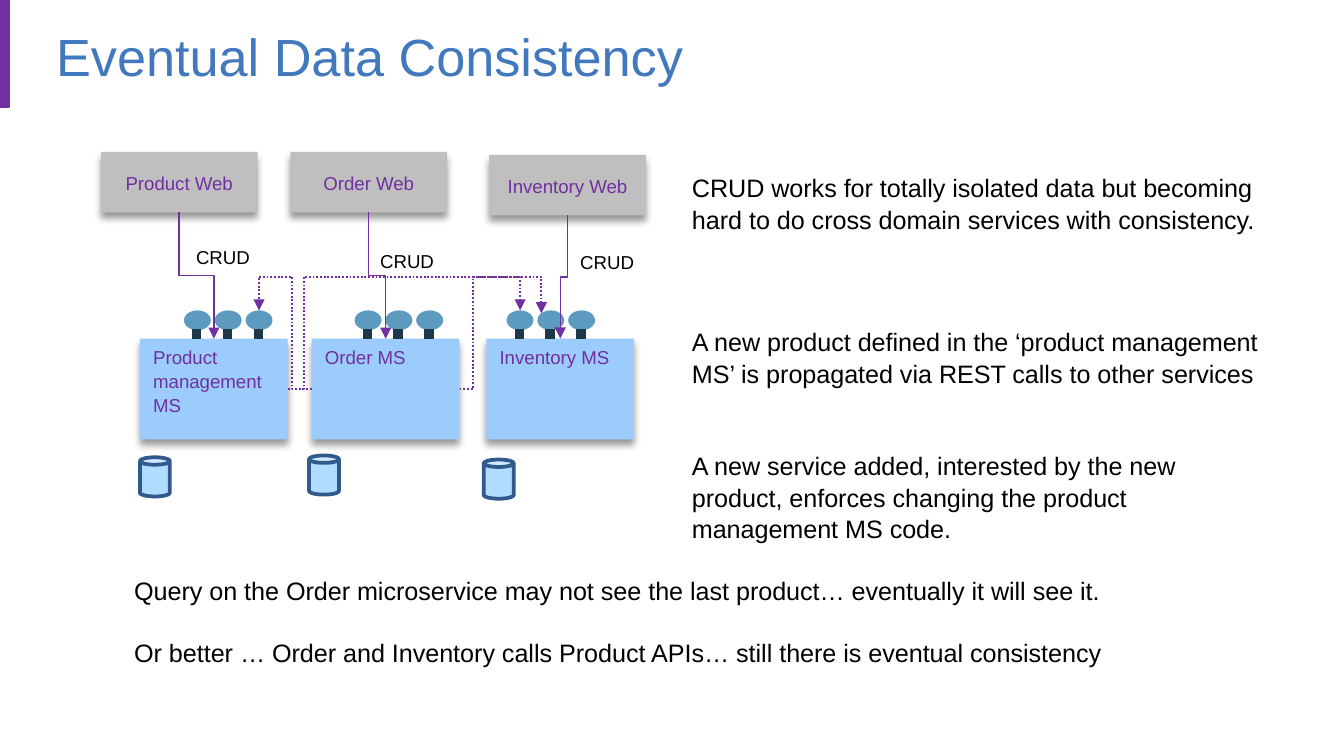
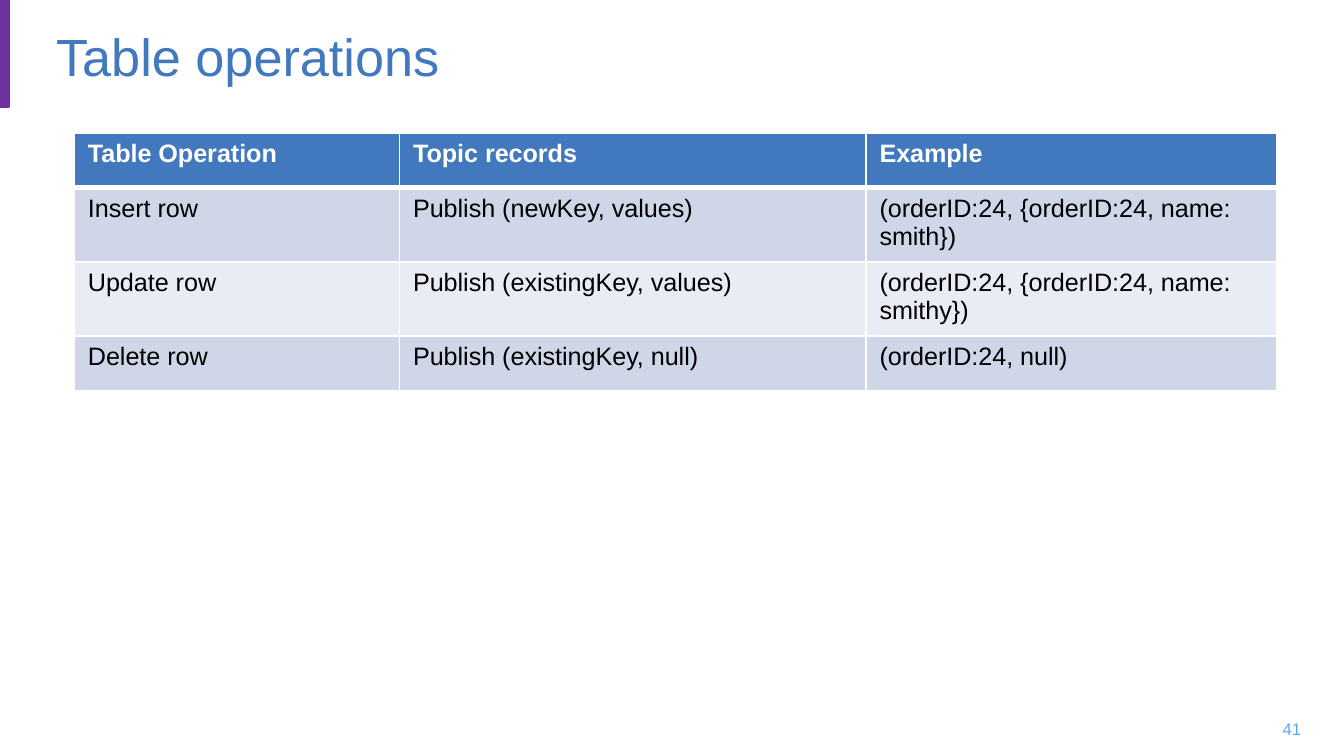
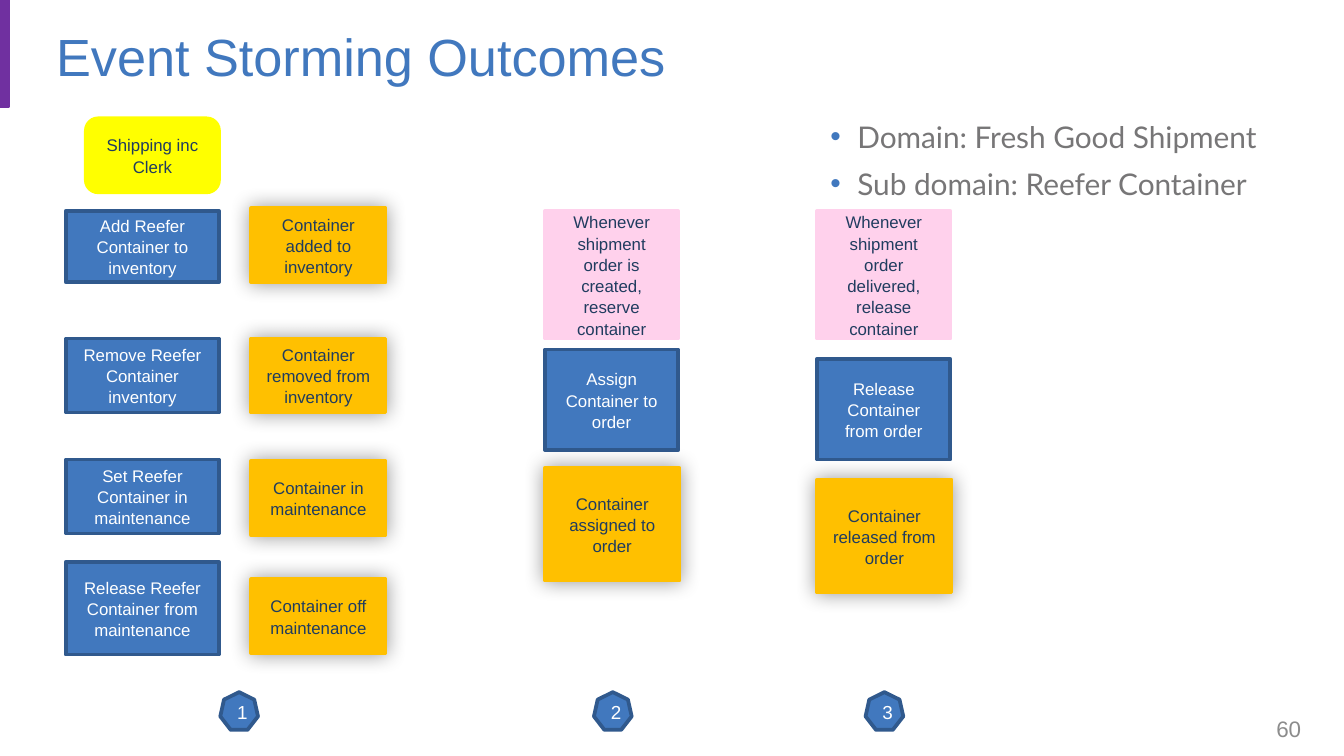
from dataclasses import dataclass
from typing import NamedTuple

from lxml.etree import SubElement
from pptx import Presentation
from pptx.dml.color import RGBColor
from pptx.enum.dml import MSO_LINE
from pptx.enum.shapes import MSO_CONNECTOR, MSO_SHAPE
from pptx.enum.text import MSO_ANCHOR, MSO_AUTO_SIZE, PP_ALIGN
from pptx.oxml.ns import qn
from pptx.util import Pt


# Theme
@dataclass(frozen=True)
class Theme:
    font: str = "Arial"
    body_font: str = "Lato"
    title_size: float = 28
    bullet_size: float = 16
    text_size: float = 13.5
    page_size: float = 12
    badge_size: float = 10.1
    label_size: float = 10
    small_size: float = 9
    leading: float = 1.05
    purple: str = "7030A0"
    blue: str = "4178BE"
    navy: str = "30598D"
    ink: str = "203C5F"
    black: str = "000000"
    white: str = "FFFFFF"
    grey: str = "BFBFBF"
    sky: str = "9CCCFC"
    pale_sky: str = "B0DDFF"
    port: str = "5D9ABF"
    stem: str = "1D3848"
    amber: str = "FFC000"
    yellow: str = "FFFF00"
    pink: str = "FFD1EC"
    bullet_text: str = "777677"
    page_blue: str = "5AAAFA"
    page_grey: str = "8C8C8C"
    band_dark: str = "CFD6E8"
    band_light: str = "E9ECF4"


THEME = Theme()


class Box(NamedTuple):
    left: float
    top: float
    width: float
    height: float

    def points(self) -> list:
        return [Pt(length) for length in self]


class Shadow(NamedTuple):
    blur: float
    distance: float
    angle: int


@dataclass(frozen=True)
class Style:
    fill: str
    line: str | None = None
    text: str = THEME.ink
    size: float = THEME.small_size
    kind: MSO_SHAPE = MSO_SHAPE.RECTANGLE
    shadow: Shadow | None = None
    align: PP_ALIGN = PP_ALIGN.CENTER
    anchor: MSO_ANCHOR = MSO_ANCHOR.MIDDLE


DROP = Shadow(4, 3, 90)
GLOW = Shadow(11, 0, 10)
BAND = Style(THEME.purple, THEME.purple)
WEB = Style(THEME.grey, None, THEME.purple, THEME.label_size, shadow=DROP)
SERVICE = Style(THEME.sky, None, THEME.purple, THEME.label_size, shadow=DROP,
                align=PP_ALIGN.LEFT, anchor=MSO_ANCHOR.TOP)
DATABASE = Style(THEME.pale_sky, THEME.navy, kind=MSO_SHAPE.CAN)
PORT = Style(THEME.port, kind=MSO_SHAPE.OVAL)
ACTOR = Style(THEME.yellow, THEME.yellow, kind=MSO_SHAPE.ROUNDED_RECTANGLE)
COMMAND = Style(THEME.blue, THEME.navy, THEME.white)
EVENT = Style(THEME.amber, THEME.amber, shadow=GLOW)
POLICY = Style(THEME.pink, THEME.pink)
BADGE = Style(THEME.blue, THEME.navy, THEME.white, THEME.badge_size, MSO_SHAPE.HEPTAGON)


# Drawing helpers
def colour(code: str) -> RGBColor:
    return RGBColor.from_string(code)


def set_font(paragraph, size: float, code: str, font: str = THEME.font) -> None:
    paragraph.font.name = font
    paragraph.font.size = Pt(size)
    paragraph.font.color.rgb = colour(code)


def add_block(shapes, box: Box, style: Style, text: str = ""):
    block = shapes.add_shape(style.kind, *box.points())
    block.fill.solid()
    block.fill.fore_color.rgb = colour(style.fill)
    if style.line:
        block.line.color.rgb = colour(style.line)
        block.line.width = Pt(2)
    else:
        block.line.fill.background()
    block.shadow.inherit = False
    if style.shadow:
        effects = block.element.spPr.find(qn("a:effectLst"))
        outer = SubElement(effects, qn("a:outerShdw"), blurRad=str(Pt(style.shadow.blur)),
                           dist=str(Pt(style.shadow.distance)),
                           dir=str(style.shadow.angle * 60000), rotWithShape="0")
        tint = SubElement(outer, qn("a:srgbClr"), val=THEME.black)
        SubElement(tint, qn("a:alpha"), val="40000")
    if text:
        block.text_frame.vertical_anchor = style.anchor
        paragraph = block.text_frame.paragraphs[0]
        paragraph.text = text
        paragraph.alignment = style.align
        paragraph.line_spacing = THEME.leading
        set_font(paragraph, style.size, style.text)
    return block


def add_text(slide, box: Box, lines: list[str], size: float, code: str,
             gaps: tuple[float, ...] = (), font: str = THEME.font, wrap: bool = True,
             leading: float | None = None, anchor: MSO_ANCHOR = MSO_ANCHOR.TOP,
             align: PP_ALIGN = PP_ALIGN.LEFT, bullet: bool = False):
    frame = slide.shapes.add_textbox(*box.points()).text_frame
    frame.word_wrap = wrap
    frame.vertical_anchor = anchor
    if not wrap:
        frame.auto_size = MSO_AUTO_SIZE.SHAPE_TO_FIT_TEXT
    for index, line in enumerate(lines):
        paragraph = frame.add_paragraph() if index else frame.paragraphs[0]
        paragraph.text = line
        paragraph.alignment = align
        if leading:
            paragraph.line_spacing = leading
        if index and gaps:
            paragraph.space_before = Pt(gaps[index - 1])
        if bullet:
            add_bullet(paragraph)
        set_font(paragraph, size, code, font)


def add_bullet(paragraph) -> None:
    properties = paragraph._p.get_or_add_pPr()
    properties.set("marL", str(Pt(14.4)))
    properties.set("indent", str(-Pt(14.4)))
    tint = SubElement(properties, qn("a:buClr"))
    SubElement(tint, qn("a:srgbClr"), val=THEME.blue)
    SubElement(properties, qn("a:buFont"), typeface=THEME.font)
    SubElement(properties, qn("a:buChar"), char="•")


def add_line(shapes, kind: MSO_CONNECTOR, start: tuple, end: tuple, code: str, width: float):
    line = shapes.add_connector(kind, *(Pt(value) for value in (*start, *end)))
    line.line.color.rgb = colour(code)
    line.line.width = Pt(width)
    SubElement(line.element.spPr, qn("a:effectLst"))
    return line


class End(NamedTuple):
    """A connection site of a shape and where it lies."""
    shape: object
    site: int
    x: float
    y: float


def add_elbow(slide, start: End, end: End, width: float, rotation: int, flip: str,
              bends: tuple[int, ...], dotted: bool = False) -> None:
    elbow = add_line(slide.shapes, MSO_CONNECTOR.ELBOW, start[2:], end[2:], THEME.purple, width)
    elbow.begin_connect(start.shape, start.site)
    elbow.end_connect(end.shape, end.site)
    if dotted:
        elbow.line.dash_style = MSO_LINE.ROUND_DOT
    properties = elbow.element.spPr
    SubElement(properties.find(qn("a:ln")), qn("a:tailEnd"), type="triangle")

    # Frame before rotation
    across, down = abs(end.x - start.x), abs(end.y - start.y)
    if rotation in (90, 270):
        across, down = down, across
    elbow.left = Pt((start.x + end.x - across) / 2)
    elbow.top = Pt((start.y + end.y - down) / 2)
    elbow.width, elbow.height = Pt(across), Pt(down)
    transform = properties.find(qn("a:xfrm"))
    for name in ("flipH", "flipV"):
        transform.attrib.pop(name, None)
    transform.set("rot", str(rotation * 60000))
    if flip:
        transform.set(flip, "1")

    # Bends in thousandths of a percent
    geometry = properties.find(qn("a:prstGeom"))
    geometry.set("prst", f"bentConnector{len(bends) + 2}")
    guides = geometry.find(qn("a:avLst"))
    if guides is None:
        guides = SubElement(geometry, qn("a:avLst"))
    for number, bend in enumerate(bends, 1):
        SubElement(guides, qn("a:gd"), name=f"adj{number}", fmla=f"val {bend}")


def add_slide(deck, title: str):
    slide = deck.slides.add_slide(deck.slide_layouts[6])
    add_block(slide.shapes, Box(0, 0, 4.5, 57), BAND)
    add_text(slide, Box(23, 3.6, 661, 52), [title], THEME.title_size, THEME.blue,
             anchor=MSO_ANCHOR.MIDDLE)
    return slide


def add_page_number(slide, number: str, size: float, code: str) -> None:
    add_text(slide, Box(672.5, 379.5, 31.7, 21.6), [number], size, code,
             anchor=MSO_ANCHOR.MIDDLE, align=PP_ALIGN.RIGHT)


# Slide 1: services and their data
class Domain(NamedTuple):
    web_name: str
    service_name: str
    web: tuple
    service_left: float
    database: tuple
    ports_left: float
    crud: tuple


DOMAINS = [
    Domain("Product Web", "Product management MS", (54, 81.4), 75, (75, 245), 98.6, (98, 127.4)),
    Domain("Order Web", "Order MS", (155.5, 81.4), 167, (165.6, 244), 190, (196.6, 129.6)),
    Domain("Inventory Web", "Inventory MS", (262, 83), 260.6, (259.2, 246.2), 271.4,
           (303.8, 130.3)),
]
WEB_SIZE = (84, 32.4)
SERVICE_SIZE = (79.2, 54)
SERVICE_TOP = 181.4
PORT_SIZE = (14.4, 10.6)
PORT_TOP = 166.3
PORT_PITCH = 16.5


def add_ports(slide, left: float) -> list:
    group = slide.shapes.add_group_shape()
    ports = []
    for index in range(3):
        port_left = left + index * PORT_PITCH
        stem = port_left + 6.8
        ports.append(add_block(group.shapes, Box(port_left, PORT_TOP, *PORT_SIZE), PORT))
        add_line(group.shapes, MSO_CONNECTOR.STRAIGHT, (stem, 176.4), (stem, SERVICE_TOP),
                 THEME.stem, 5)
    return ports


def build_consistency(deck) -> None:
    slide = add_slide(deck, "Eventual Data Consistency")
    services, ports = [], []
    for domain in DOMAINS:
        web = add_block(slide.shapes, Box(*domain.web, *WEB_SIZE), WEB, domain.web_name)
        service = add_block(slide.shapes, Box(domain.service_left, SERVICE_TOP, *SERVICE_SIZE),
                            SERVICE, domain.service_name)
        add_block(slide.shapes, Box(*domain.database, 16, 21), DATABASE)
        services.append(service)
        ports.append(add_ports(slide, domain.ports_left))
        bottom = End(web, 2, domain.web[0] + WEB_SIZE[0] / 2, domain.web[1] + WEB_SIZE[1])
        top = End(service, 0, domain.service_left + SERVICE_SIZE[0] / 2, SERVICE_TOP)
        turn = (270, "flipH") if top.x > bottom.x else (90, "")
        add_elbow(slide, bottom, top, 0.75, *turn, (50000,))
        add_text(slide, Box(*domain.crud, 44, 19.4), ["CRUD"], THEME.label_size, THEME.black,
                 wrap=False, leading=THEME.leading)

    # Propagation between services
    def side(index: int, site: int) -> End:
        offset = SERVICE_SIZE[0] if site == 3 else 0
        return End(services[index], site, DOMAINS[index].service_left + offset,
                   SERVICE_TOP + SERVICE_SIZE[1] / 2)

    def port(index: int, number: int, site: int = 0) -> End:
        across, down = (0.15, 0.15) if site else (0.5, 0)
        left = DOMAINS[index].ports_left + number * PORT_PITCH
        return End(ports[index][number], site, left + across * PORT_SIZE[0],
                   PORT_TOP + down * PORT_SIZE[1])

    add_elbow(slide, side(0, 3), port(2, 0), 1, 0, "flipV", (6900, 143000), True)
    add_elbow(slide, side(1, 3), port(2, 1, 1), 1, 0, "flipV", (16800, 148400), True)
    add_elbow(slide, side(1, 1), port(0, 2), 1, 180, "", (37300, 143000), True)

    # Remarks
    add_text(slide, Box(363.6, 88, 322, 203.8), [
        "CRUD works for totally isolated data but becoming hard to do cross domain services "
        "with consistency.",
        "A new product defined in the ‘product management MS’ is propagated via REST calls "
        "to other services",
        "A new service added, interested by the new product, enforces changing the product "
        "management MS code.",
    ], THEME.text_size, THEME.black, gaps=(48.6, 32.4), leading=THEME.leading)
    add_text(slide, Box(64.8, 304, 539.3, 56), [
        "Query on the Order microservice may not see the last product… eventually it will see it.",
        "Or better … Order and Inventory calls Product APIs… still there is eventual consistency",
    ], THEME.text_size, THEME.black, gaps=(16.2,), wrap=False, leading=THEME.leading)


# Slide 2: table operations
OPERATIONS = [
    ("Table Operation", "Topic records", "Example"),
    ("Insert row", "Publish (newKey, values)", "(orderID:24, {orderID:24, name: smith})"),
    ("Update row", "Publish (existingKey, values)", "(orderID:24, {orderID:24, name: smithy})"),
    ("Delete row", "Publish (existingKey, null)", "(orderID:24, null)"),
]
COLUMN_WIDTHS = (174.2, 249.9, 220.3)
ROW_HEIGHT = 29.5


def add_borders(cell, row: int) -> None:
    properties = cell._tc.get_or_add_tcPr()
    widths = {"L": 1, "R": 1, "T": 3 if row == 1 else 1, "B": 3 if row == 0 else 1}
    for edge, width in widths.items():
        border = SubElement(properties, qn(f"a:ln{edge}"), w=str(Pt(width)))
        fill = SubElement(border, qn("a:solidFill"))
        SubElement(fill, qn("a:srgbClr"), val=THEME.white)


def build_operations(deck) -> None:
    slide = add_slide(deck, "Table operations")
    box = Box(39.9, 71.2, sum(COLUMN_WIDTHS), ROW_HEIGHT * len(OPERATIONS))
    table = slide.shapes.add_table(len(OPERATIONS), len(COLUMN_WIDTHS), *box.points()).table
    for column, width in zip(table.columns, COLUMN_WIDTHS):
        column.width = Pt(width)
    for row, operation in enumerate(OPERATIONS):
        table.rows[row].height = Pt(ROW_HEIGHT)
        band = THEME.band_dark if row % 2 else THEME.band_light
        for column, text in enumerate(operation):
            cell = table.cell(row, column)
            add_borders(cell, row)
            cell.fill.solid()
            cell.fill.fore_color.rgb = colour(band if row else THEME.blue)
            cell.text = text
            paragraph = cell.text_frame.paragraphs[0]
            set_font(paragraph, THEME.text_size, THEME.black if row else THEME.white)
            paragraph.font.bold = row == 0
    add_page_number(slide, "41", THEME.small_size, THEME.page_blue)


# Slide 3: event storming
class Card(NamedTuple):
    style: Style
    box: Box
    text: str


class Step(NamedTuple):
    command: str
    command_top: float
    command_height: float
    event: str
    event_top: float


class Reaction(NamedTuple):
    left: float
    policy: str
    command: str
    command_top: float
    event: str
    event_top: float


STEPS = [
    Step("Add Reefer Container to inventory", 113, 38.2, "Container added to inventory", 111.6),
    Step("Remove Reefer Container inventory", 181.4, 39.6,
         "Container removed from inventory", 181.4),
    Step("Set Reefer Container in maintenance", 246.2, 39.6, "Container in maintenance", 247),
    Step("Release Reefer Container from maintenance", 301, 49.7,
         "Container off maintenance", 310.3),
]
REACTIONS = [
    Reaction(292, "Whenever shipment order is created, reserve container",
             "Assign Container to order", 187.2, "Container assigned to order", 250.6),
    Reaction(437.8, "Whenever shipment order delivered, release container",
             "Release Container from order", 192.2, "Container released from order", 257),
]
BADGE_LEFTS = (118, 318.2, 463.7)


def build_storming(deck) -> None:
    slide = add_slide(deck, "Event Storming Outcomes")
    add_text(slide, Box(437.8, 59.8, 265.7, 60.5),
             ["Domain: Fresh Good Shipment", "Sub domain: Reefer Container"],
             THEME.bullet_size, THEME.bullet_text, gaps=(6,), font=THEME.body_font, bullet=True)
    cards = [Card(ACTOR, Box(46, 63.4, 71.3, 39.6), "Shipping inc Clerk")]
    for step in STEPS:
        cards += [
            Card(COMMAND, Box(35.3, step.command_top, 82, step.command_height), step.command),
            Card(EVENT, Box(134.6, step.event_top, 72, 39.6), step.event),
        ]
    for reaction in REACTIONS:
        cards += [
            Card(POLICY, Box(reaction.left, 113, 71.3, 68.4), reaction.policy),
            Card(COMMAND, Box(reaction.left, reaction.command_top, 71.3, 54), reaction.command),
            Card(EVENT, Box(reaction.left, reaction.event_top, 72, 60.5), reaction.event),
        ]
    for number, left in enumerate(BADGE_LEFTS, 1):
        cards.append(Card(BADGE, Box(left, 370.8, 20.2, 20.2), str(number)))
    for card in cards:
        add_block(slide.shapes, card.box, card.style, card.text)
    add_page_number(slide, "60", THEME.page_size, THEME.page_grey)


def main() -> None:
    deck = Presentation()
    deck.slide_width, deck.slide_height = Pt(720), Pt(405)
    build_consistency(deck)
    build_operations(deck)
    build_storming(deck)
    deck.save("out.pptx")


if __name__ == "__main__":
    main()
